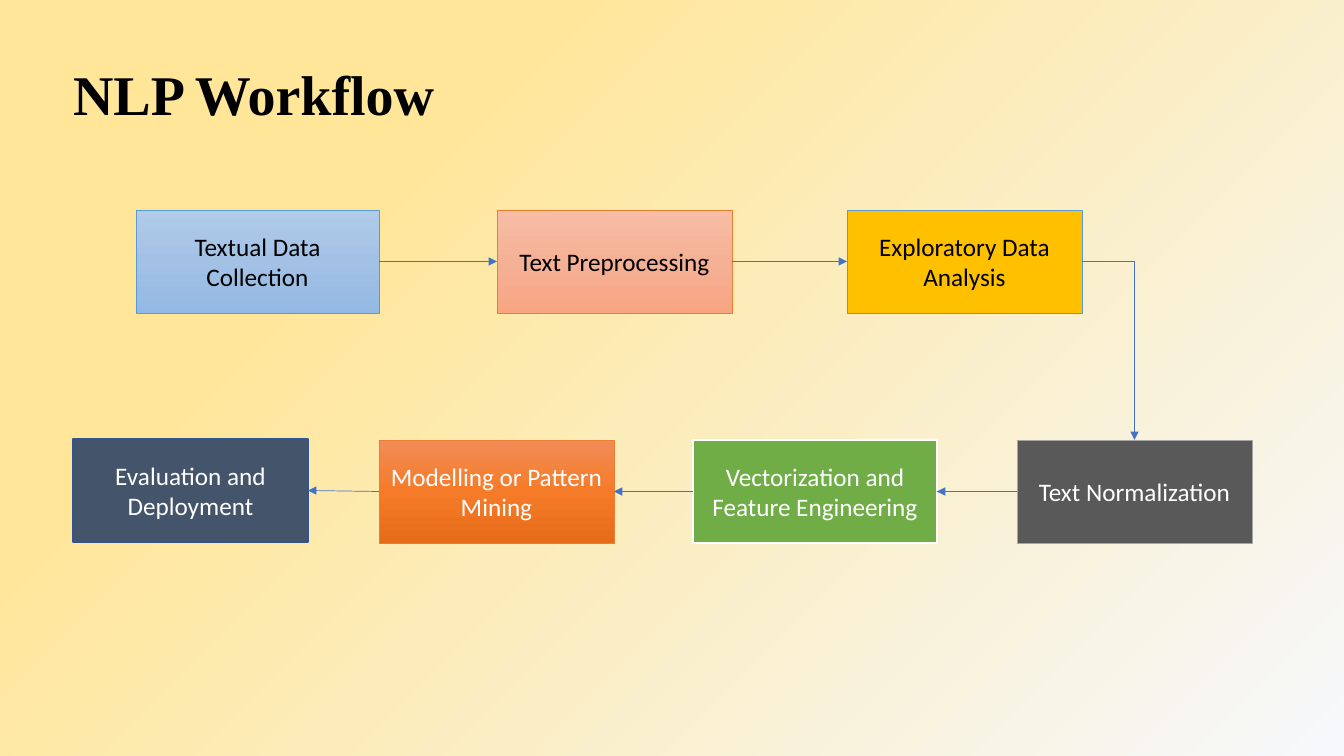
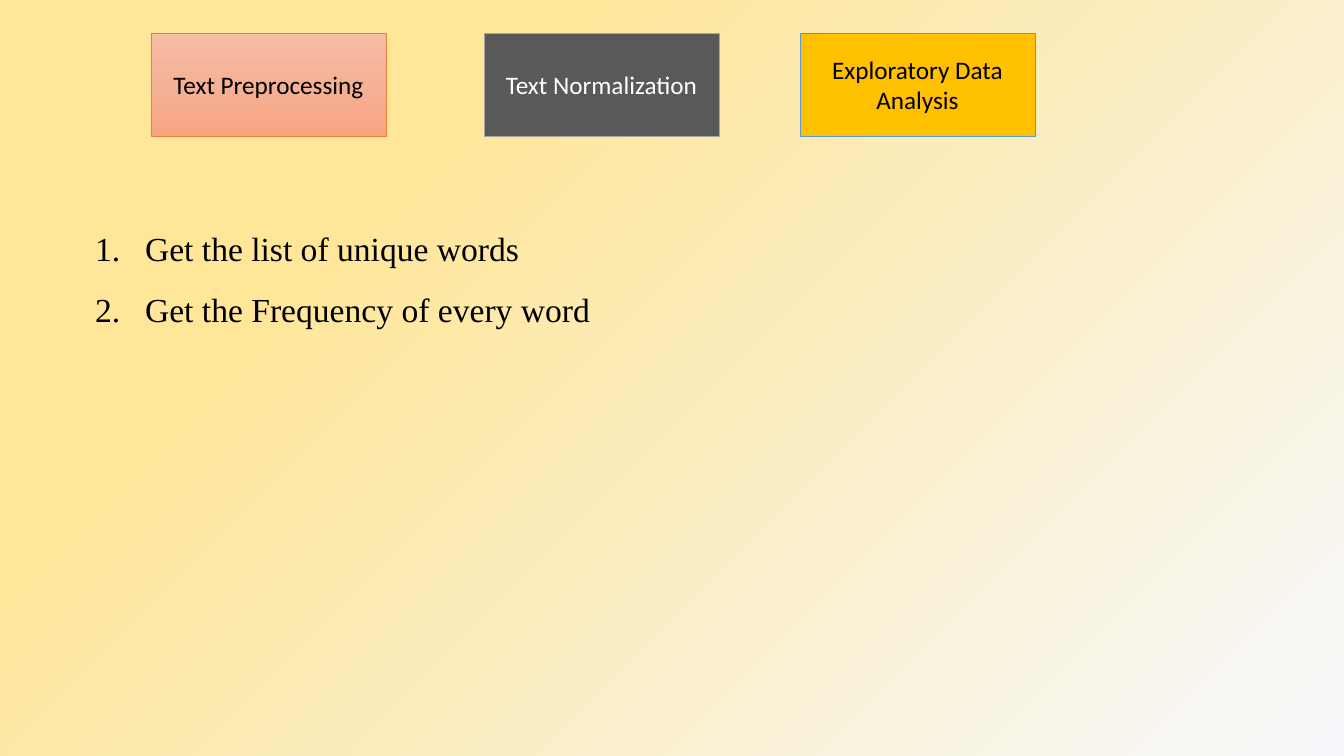
"""Build two slides on the NLP workflow: the process diagram and its word list tasks."""
import lxml.etree
import pptx
import pptx.dml.color
import pptx.enum.dml
import pptx.enum.shapes
import pptx.enum.text
import pptx.oxml.ns
import pptx.util

EMU_PER_PIXEL = 914400 / 100.8
SERIF, SANS = "Times New Roman", "Calibri"
COLORS = {
    "black": "000000", "white": "FFFFFF", "arrow": "4472C4",
    "mist": "F6F8FC", "cream": "FFE699",
    "blue_top": "B1CBE9", "blue_mid": "A3C1E5", "blue_low": "93B9E4", "blue_edge": "5B9BD5",
    "peach_top": "F7BDA5", "peach_mid": "F5B196", "peach_low": "F8A582", "orange_edge": "ED7D31",
    "orange_top": "F18C57", "orange_mid": "F67B28", "orange_low": "E56C19",
    "gold": "FFC000", "gray": "595959", "gray_edge": "A5A5A5",
    "green": "70AD47", "slate": "44546A", "navy_edge": "325491",
}
RGB = {name: pptx.dml.color.RGBColor.from_string(code) for name, code in COLORS.items()}
STEP_STYLES = {
    "Textual Data Collection": (["blue_top", "blue_mid", "blue_low"], "blue_edge", 0.5, "black"),
    "Text Preprocessing": (["peach_top", "peach_mid", "peach_low"], "orange_edge", 0.5, "black"),
    "Exploratory Data Analysis": (["gold"], "blue_edge", 0.5, "black"),
    "Text Normalization": (["gray"], "gray_edge", 0.5, "white"),
    "Vectorization and Feature Engineering": (["green"], "white", 1.5, "white"),
    "Modelling or Pattern Mining": (["orange_top", "orange_mid", "orange_low"], "orange_edge", 0.5, "white"),
    "Evaluation and Deployment": (["slate"], "navy_edge", 1, "white"),
}
BOX_WIDTH, BOX_HEIGHT = 235, 103
TOP_SITE, LEFT_SITE, RIGHT_SITE = 0, 1, 3
qn = pptx.oxml.ns.qn


def px(*lengths):
    """Turn pixel lengths into EMU."""
    return [pptx.util.Emu(round(length * EMU_PER_PIXEL)) for length in lengths]


def set_gradient(fill, element, stops):
    """Give the fill these (percent, colour) stops and return its emptied XML element."""
    fill.gradient()
    gradient = element.find(".//" + qn("a:gradFill"))
    for child in list(gradient):
        gradient.remove(child)
    stop_list = lxml.etree.SubElement(gradient, qn("a:gsLst"))
    for percent, color in stops:
        stop = lxml.etree.SubElement(stop_list, qn("a:gs"), {"pos": str(percent * 1000)})
        lxml.etree.SubElement(stop, qn("a:srgbClr"), {"val": COLORS[color]})
    return gradient


deck = pptx.Presentation()
deck.slide_width, deck.slide_height = px(1344, 756)

master = deck.slide_master
backdrop = set_gradient(master.background.fill, master._element,
                        [(0, "mist"), (74, "cream"), (83, "cream"), (100, "cream")])
glow = lxml.etree.SubElement(backdrop, qn("a:path"), {"path": "circle"})
lxml.etree.SubElement(glow, qn("a:fillToRect"), {"l": "100000", "t": "100000"})
lxml.etree.SubElement(backdrop, qn("a:tileRect"), {"r": "-100000", "b": "-100000"})

workflow = deck.slides.add_slide(deck.slide_layouts[5])
title = workflow.shapes.title
title.left, title.top, title.width, title.height = px(63, 24, 1159, 146)
title.text_frame.text = "NLP Workflow"
title.text_frame.vertical_anchor = pptx.enum.text.MSO_ANCHOR.MIDDLE
heading = title.text_frame.paragraphs[0]
heading.alignment = pptx.enum.text.PP_ALIGN.LEFT
heading.line_spacing = 0.9
heading_font = heading.runs[0].font
heading_font.name, heading_font.size, heading_font.bold = SERIF, pptx.util.Pt(40), True
heading_font.color.rgb = RGB["black"]

word_tasks = deck.slides.add_slide(deck.slide_layouts[1])
word_tasks.shapes.title._element.getparent().remove(word_tasks.shapes.title._element)
tasks = word_tasks.placeholders[1]
tasks.left, tasks.top, tasks.width, tasks.height = px(85, 203, 692, 125)
tasks.text_frame.text = "Get the list of unique words\nGet the Frequency of every word"
tasks.text_frame.auto_size = pptx.enum.text.MSO_AUTO_SIZE.SHAPE_TO_FIT_TEXT
hanging = px(50)[0]
for task in tasks.text_frame.paragraphs:
    task.alignment = pptx.enum.text.PP_ALIGN.JUSTIFY
    task.line_spacing = 1.5
    task.space_before = pptx.util.Pt(0)
    numbering = task._p.get_or_add_pPr()
    numbering.set("marL", str(hanging))
    numbering.set("indent", str(-hanging))
    lxml.etree.SubElement(numbering, qn("a:buFont"), {"typeface": SERIF})
    lxml.etree.SubElement(numbering, qn("a:buAutoNum"), {"type": "arabicPeriod"})
    task_font = task.runs[0].font
    task_font.name, task_font.size = SERIF, pptx.util.Pt(24)
    task_font.color.rgb = RGB["black"]

placements = [
    (workflow, "Textual Data Collection", 136, 210, 243),
    (workflow, "Text Preprocessing", 497, 210, BOX_WIDTH),
    (workflow, "Exploratory Data Analysis", 847, 210, BOX_WIDTH),
    (workflow, "Text Normalization", 1017, 440, BOX_WIDTH),
    (workflow, "Vectorization and Feature Engineering", 693, 440, 244),
    (workflow, "Modelling or Pattern Mining", 379, 440, BOX_WIDTH),
    (workflow, "Evaluation and Deployment", 73, 439, BOX_WIDTH),
    (word_tasks, "Text Preprocessing", 151, 33, BOX_WIDTH),
    (word_tasks, "Text Normalization", 484, 33, BOX_WIDTH),
    (word_tasks, "Exploratory Data Analysis", 800, 33, BOX_WIDTH),
]
workflow_steps = []
for slide, label, left, top, width in placements:
    fills, edge, edge_width, ink = STEP_STYLES[label]
    step = slide.shapes.add_shape(pptx.enum.shapes.MSO_SHAPE.FLOWCHART_PROCESS,
                                  *px(left, top, width, BOX_HEIGHT))
    step.shadow.inherit = False
    if len(fills) == 1:
        step.fill.solid()
        step.fill.fore_color.rgb = RGB[fills[0]]
    else:
        shading = set_gradient(step.fill, step._element, zip((0, 50, 100), fills))
        lxml.etree.SubElement(shading, qn("a:lin"), {"ang": "5400000", "scaled": "0"})
    step.line.color.rgb = RGB[edge]
    step.line.width = pptx.util.Pt(edge_width)
    step.text_frame.text = label
    step.text_frame.word_wrap = True
    step.text_frame.vertical_anchor = pptx.enum.text.MSO_ANCHOR.MIDDLE
    caption = step.text_frame.paragraphs[0]
    caption.alignment = pptx.enum.text.PP_ALIGN.CENTER
    caption_font = caption.runs[0].font
    caption_font.name, caption_font.size = SANS, pptx.util.Pt(18)
    caption_font.color.rgb = RGB[ink]
    if slide is workflow:
        workflow_steps.append(step)

straight, elbow = pptx.enum.shapes.MSO_CONNECTOR.STRAIGHT, pptx.enum.shapes.MSO_CONNECTOR.ELBOW
rightward, turn, leftward = (
    (straight, RIGHT_SITE, LEFT_SITE), (elbow, RIGHT_SITE, TOP_SITE), (straight, LEFT_SITE, RIGHT_SITE))
routes = [rightward] * 2 + [turn] + [leftward] * 3
for source, target, (kind, exit_site, entry_site) in zip(workflow_steps, workflow_steps[1:], routes):
    arrow = workflow.shapes.add_connector(kind, source.left, source.top, target.left, target.top)
    arrow.begin_connect(source, exit_site)
    arrow.end_connect(target, entry_site)
    if kind == elbow:
        arrow._element.spPr.find(qn("a:prstGeom")).set("prst", "bentConnector2")
    arrow.line.color.rgb = RGB["arrow"]
    arrow.line.width = pptx.util.Pt(0.5)
    lxml.etree.SubElement(arrow.line._get_or_add_ln(), qn("a:tailEnd"), {"type": "triangle"})
    lxml.etree.SubElement(arrow._element.spPr, qn("a:effectLst"))

deck.save("out.pptx")
